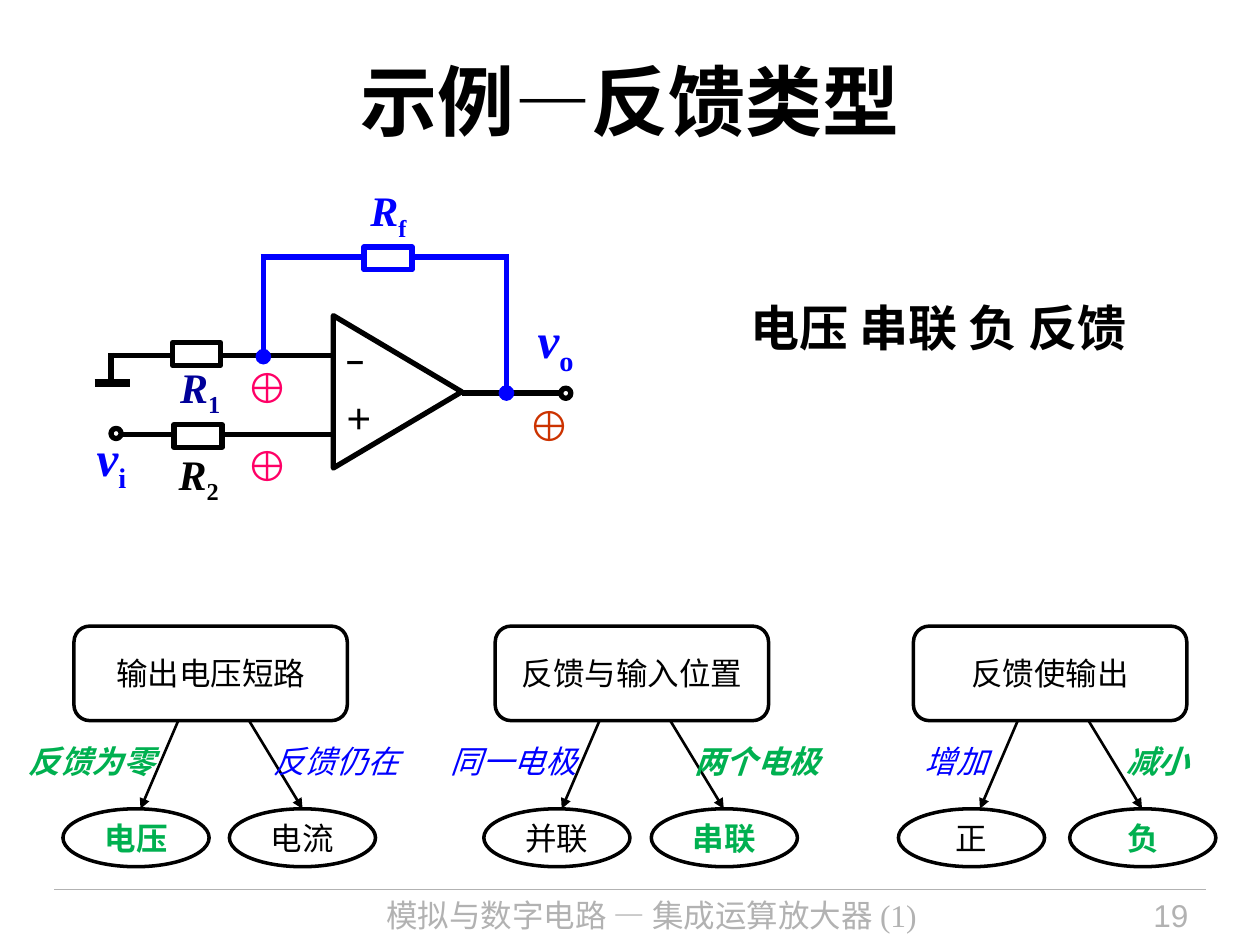
from lxml.etree import SubElement
from pptx import Presentation
from pptx.dml.color import RGBColor
from pptx.enum.shapes import MSO_CONNECTOR as Link, MSO_SHAPE as Form
from pptx.enum.text import MSO_ANCHOR as Anchor, PP_ALIGN as Align
from pptx.oxml.ns import qn
from pptx.util import Pt


class Theme:
    black = RGBColor.from_string("000000")
    white = RGBColor.from_string("FFFFFF")
    blue = RGBColor.from_string("0000FF")
    navy = RGBColor.from_string("000099")
    green = RGBColor.from_string("00B050")
    pink = RGBColor.from_string("FF0066")
    rust = RGBColor.from_string("CC3300")
    grey = RGBColor.from_string("B2B2B2")
    serif, sans = "Times New Roman", "Arial"
    title, large, label, body = 44, 28, 24, 18


def write(shape, text, size, ink, face=Theme.sans, bold=False, slant=False,
          align=Align.CENTER, anchor=Anchor.TOP, sub=""):
    frame = shape.text_frame
    frame.word_wrap = True
    frame.vertical_anchor = anchor
    para = frame.paragraphs[0]
    para.alignment = align
    font = para.font
    font.name, font.size, font.bold = face, Pt(size), bold
    font.color.rgb = ink
    para.add_run().text = text
    if sub:
        para.runs[0].font.italic = slant
        low = para.add_run()
        low.text = sub
        low.font.italic = False
        low._r.get_or_add_rPr().set("baseline", "-25000")
    else:
        font.italic = slant
    return frame


def wire(x1, y1, x2, y2, width, ink=Theme.black, tail=None):
    link = shapes.add_connector(Link.STRAIGHT, Pt(x1), Pt(y1), Pt(x2), Pt(y2))
    link.line.width = Pt(width)
    link.line.color.rgb = ink
    if tail:
        SubElement(link.line._get_or_add_ln(), qn("a:tailEnd"), type=tail)
    SubElement(link._element.spPr, qn("a:effectLst"))


deck = Presentation()
deck.slide_width, deck.slide_height = Pt(720), Pt(540)
shapes = deck.slides.add_slide(deck.slide_layouts[6]).shapes
T = Theme

wire(31, 508.3, 689, 508.3, 0.75, T.grey)
for text, x, y, w, h, size, ink, face, bold, align, anchor in [
    ("模拟与数字电路 — 集成运算放大器 (1)", 179.3, 508.3, 386, 31.7, T.body, T.grey,
     T.serif, False, Align.CENTER, Anchor.TOP),
    ("19", 590.4, 508.3, 95.8, 31.7, T.body, T.grey,
     T.sans, False, Align.RIGHT, Anchor.TOP),
    ("示例—反馈类型", 36, 12.2, 648, 90, T.title, T.black,
     T.serif, True, Align.CENTER, Anchor.MIDDLE),
    ("电压 串联 负 反馈", 412.6, 166.3, 247.7, 41, T.large, T.black,
     T.sans, True, Align.CENTER, Anchor.TOP),
]:
    box = shapes.add_textbox(Pt(x), Pt(y), Pt(w), Pt(h))
    write(box, text, size, ink, face, bold, align=align, anchor=anchor)

for x1, y1, x2, y2, width in [
    (64, 203, 191, 203, 3),
    (64, 248.4, 189.4, 248.4, 3),
    (264.2, 224.6, 321, 224.6, 3),
    (54, 219, 74.2, 219, 4.5),
    (63.4, 201.6, 63.4, 221, 3),
]:
    wire(x1, y1, x2, y2, width)
wire(150.5, 148.3, 150.5, 203.8, 3, T.blue, "oval")
wire(289.4, 145.4, 289.4, 224.6, 3, T.blue, "oval")
wire(149, 146.9, 289.4, 146.9, 3, T.blue)

for form, x, y, w, h, ink in [
    (Form.OVAL, 63.4, 244.8, 5.8, 5.8, T.black),
    (Form.OVAL, 320.4, 221.8, 5.8, 5.8, T.black),
    (Form.RECTANGLE, 99.4, 242.6, 27.4, 13, T.black),
    (Form.RECTANGLE, 98.6, 195.8, 27.4, 13, T.black),
    (Form.RECTANGLE, 208, 141.1, 27.4, 13, T.blue),
]:
    part = shapes.add_shape(form, Pt(x), Pt(y), Pt(w), Pt(h))
    part.shadow.inherit = False
    part.fill.solid()
    part.fill.fore_color.rgb = T.white
    part.line.color.rgb = ink
    part.line.width = Pt(3)

for text, sub, x, y, w, size, ink in [
    ("v", "i", 48.2, 240.5, 42.5, T.large, T.blue),
    ("v", "o", 300.2, 173.5, 54.7, T.large, T.blue),
    ("R", "2", 95, 252.7, 42.5, T.label, T.black),
    ("R", "1", 95.8, 203, 42.5, T.label, T.navy),
    ("R", "f", 204.5, 102.2, 42.5, T.label, T.blue),
    ("⊕", "", 133.9, 247.7, 36, T.label, T.pink),
    ("⊕", "", 295.2, 224.6, 36, T.label, T.rust),
    ("⊕", "", 133.9, 203, 36, T.label, T.pink),
]:
    box = shapes.add_textbox(Pt(x), Pt(y), Pt(w), Pt(36))
    write(box, text, size, ink, T.serif, True, bool(sub), Align.LEFT, sub=sub)

for text, y, w, h, size, bold in [
    ("+", 223.9, 13.7, 28.8, T.label, False),
    ("–", 194.4, 10, 21.6, T.body, True),
]:
    box = shapes.add_textbox(Pt(198), Pt(y), Pt(w), Pt(h))
    frame = write(box, text, size, T.black, bold=bold, align=Align.LEFT,
                  anchor=Anchor.MIDDLE)
    frame.word_wrap = False
    frame.margin_left = frame.margin_right = 0
    frame.margin_top = frame.margin_bottom = 0

amp = shapes.add_shape(Form.ISOSCELES_TRIANGLE, Pt(183.6), Pt(187.2), Pt(87.1), Pt(73.4))
amp.rotation = 90
amp.shadow.inherit = False
amp.fill.background()
amp.line.color.rgb = T.black
amp.line.width = Pt(3)

for left, test, picks in [
    (42.3, "输出电压短路", [("反馈为零", "电压", True, -33, 89.3, -6.3),
                      ("反馈仍在", "电流", False, 106.7, 94.3, 88.8)]),
    (283, "反馈与输入位置", [("同一电极", "并联", False, -32.4, 89.3, -6.5),
                      ("两个电极", "串联", True, 106.6, 94.3, 89.2)]),
    (522, "反馈使输出", [("增加", "正", False, -0.7, 61.2, -8.6),
                    ("减小", "负", True, 114.5, 61.2, 89.3)]),
]:
    nodes = [(Form.ROUNDED_RECTANGLE, left, 357.8, 156.2, 54, test, False)]
    for (cause, kind, hot, shift, wide, step), start, end in zip(picks, (59.6, 100), (38, 130.6)):
        wire(left + start, 411.8, left + end, 462.2, 1.5, tail="triangle")
        box = shapes.add_textbox(Pt(left + shift), Pt(420.5), Pt(wide), Pt(28.8))
        write(box, cause, T.body, T.green if hot else T.blue, bold=hot, slant=True,
              align=Align.LEFT)
        nodes.append((Form.OVAL, left + step, 462.2, 83.5, 33.1, kind, hot))
    for form, x, y, w, h, text, hot in nodes:
        node = shapes.add_shape(form, Pt(x), Pt(y), Pt(w), Pt(h))
        node.shadow.inherit = False
        node.fill.background()
        node.line.color.rgb = T.black
        node.line.width = Pt(2)
        write(node, text, T.body, T.green if hot else T.black, bold=hot,
              anchor=Anchor.MIDDLE)

deck.save("out.pptx")
